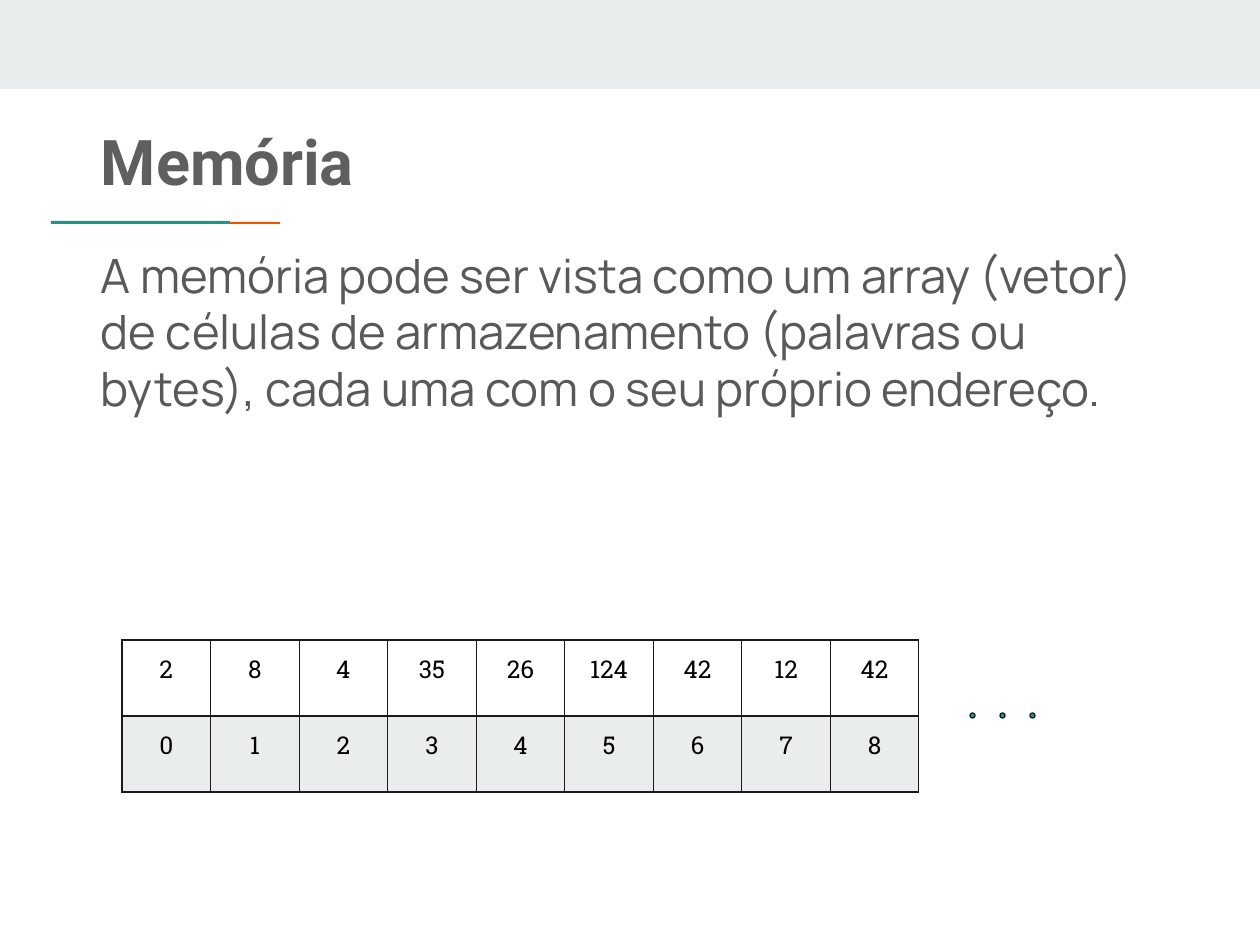
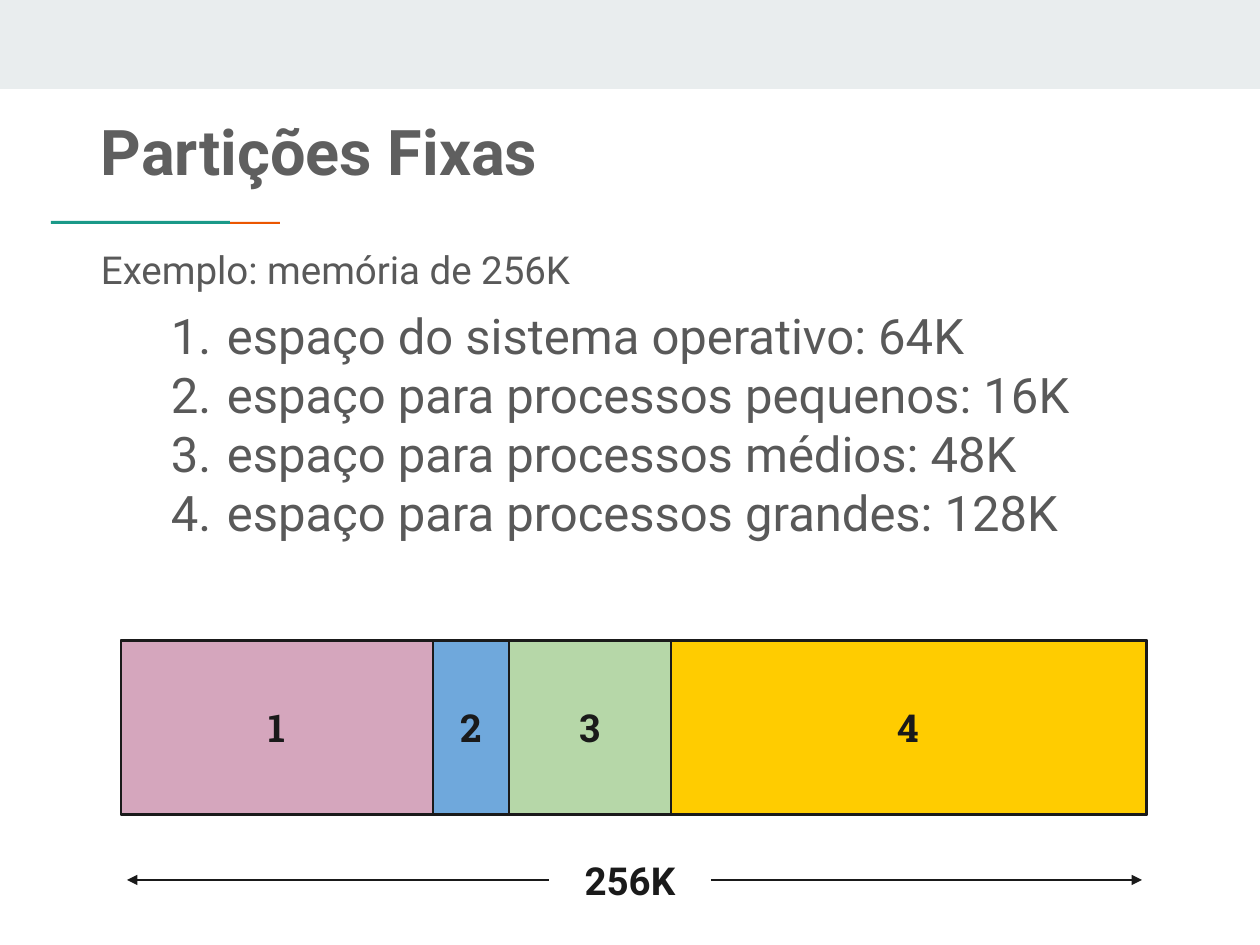
from itertools import pairwise

from lxml import etree
from pptx import Presentation
from pptx.dml.color import RGBColor
from pptx.enum.shapes import MSO_CONNECTOR, MSO_SHAPE
from pptx.enum.text import MSO_ANCHOR, PP_ALIGN
from pptx.oxml.ns import qn
from pptx.util import Emu, Pt

RECTANGLE, OVAL = MSO_SHAPE.RECTANGLE, MSO_SHAPE.OVAL
STRAIGHT = MSO_CONNECTOR.STRAIGHT
TOP, MIDDLE = MSO_ANCHOR.TOP, MSO_ANCHOR.MIDDLE
LEFT, CENTER = PP_ALIGN.LEFT, PP_ALIGN.CENTER

PX_PER_INCH = 126
SLIDE_WIDTH, SLIDE_HEIGHT = 1260, 945
MARGIN, CONTENT_WIDTH = 101, 1060
BODY_TOP, BODY_HEIGHT = 246, 416
INSET = 13
LINE_WIDTH = Pt(0.75)

BAND_GRAY = RGBColor(0xE9, 0xED, 0xEE)
ORANGE = RGBColor(0xEB, 0x56, 0x00)
TEAL = RGBColor(0x1A, 0x99, 0x88)
TITLE_GRAY = RGBColor(0x5F, 0x5F, 0x5F)
BODY_GRAY = RGBColor(0x59, 0x59, 0x59)
INK = RGBColor(0x1A, 0x1A, 0x1A)
BLACK = RGBColor(0x00, 0x00, 0x00)
WHITE = RGBColor(0xFF, 0xFF, 0xFF)
PINK = RGBColor(0xD5, 0xA6, 0xBD)
BLUE = RGBColor(0x6F, 0xA8, 0xDC)
GREEN = RGBColor(0xB6, 0xD7, 0xA8)
YELLOW = RGBColor(0xFF, 0xCC, 0x00)

SANS, SLAB, BODY_SANS = "Roboto", "Roboto Slab", "Manrope"


def px(length):
    return Emu(round(length * 914400 / PX_PER_INCH))


def write(paragraph, text, size, font, color, bold=False, align=LEFT):
    paragraph.text = text
    paragraph.alignment = align
    for run in paragraph.runs:
        run.font.size = Pt(size)
        run.font.name = font
        run.font.bold = bold
        run.font.color.rgb = color


def add_block(slide, kind, left, top, width, height, fill, line=None):
    shape = slide.shapes.add_shape(kind, px(left), px(top), px(width), px(height))
    shape.shadow.inherit = False
    shape.fill.solid()
    shape.fill.fore_color.rgb = fill
    if line is None:
        shape.line.fill.background()
    else:
        shape.line.color.rgb = line
        shape.line.width = LINE_WIDTH
    return shape


def add_text_frame(slide, left, top, width, height, anchor=TOP, inset=0):
    box = slide.shapes.add_textbox(px(left), px(top), px(width), px(height))
    frame = box.text_frame
    frame.word_wrap = True
    frame.vertical_anchor = anchor
    frame.margin_left = frame.margin_right = px(inset)
    frame.margin_top = frame.margin_bottom = px(inset)
    return frame


def add_base_slide(presentation, title, title_top):
    """Add a slide with the top band, the two accent bars and a title."""
    slide = presentation.slides.add_slide(presentation.slide_layouts[6])
    add_block(slide, RECTANGLE, 0, 0, SLIDE_WIDTH, 89, BAND_GRAY)
    add_block(slide, RECTANGLE, 102, 222, 178, 2, ORANGE)
    add_block(slide, RECTANGLE, 51, 221, 179, 3, TEAL)
    frame = add_text_frame(slide, MARGIN, title_top, CONTENT_WIDTH, 98, MIDDLE)
    paragraph = frame.paragraphs[0]
    write(paragraph, title, 36, SANS, TITLE_GRAY, bold=True)
    paragraph.line_spacing = 0.89
    return slide


def add_body(slide):
    return add_text_frame(slide, MARGIN, BODY_TOP, CONTENT_WIDTH, BODY_HEIGHT)


def number_paragraph(paragraph, color):
    properties = paragraph._p.get_or_add_pPr()
    properties.set("marL", str(px(126)))
    properties.set("indent", str(-px(56)))
    bullet_color = etree.SubElement(properties, qn("a:buClr"))
    etree.SubElement(bullet_color, qn("a:srgbClr"), val=str(color))
    etree.SubElement(properties, qn("a:buAutoNum"), type="arabicPeriod")


def add_cell_borders(cell):
    properties = cell._tc.get_or_add_tcPr()
    for side in ("a:lnL", "a:lnR", "a:lnT", "a:lnB"):
        border = etree.SubElement(properties, qn(side), w=str(LINE_WIDTH))
        fill = etree.SubElement(border, qn("a:solidFill"))
        etree.SubElement(fill, qn("a:srgbClr"), val=str(INK))


def add_memory_table(slide, left, top, width, height, rows):
    """Add a table from (fill, values) rows."""
    column_count = len(rows[0][1])
    table = slide.shapes.add_table(
        len(rows), column_count, px(left), px(top), px(width), px(height)
    ).table
    table.first_row = table.horz_banding = False
    for row_index, (fill, values) in enumerate(rows):
        for column_index, value in enumerate(values):
            cell = table.cell(row_index, column_index)
            cell.margin_left = cell.margin_right = px(INSET)
            cell.margin_top = cell.margin_bottom = px(INSET)
            write(cell.text_frame.paragraphs[0], str(value), 14, SLAB, BLACK, align=CENTER)
            add_cell_borders(cell)
            cell.fill.solid()
            cell.fill.fore_color.rgb = fill


def add_arrow(slide, start_x, end_x, y):
    arrow = slide.shapes.add_connector(STRAIGHT, px(start_x), px(y), px(end_x), px(y))
    arrow.line.color.rgb = INK
    arrow.line.width = LINE_WIDTH
    etree.SubElement(arrow.line._get_or_add_ln(), qn("a:tailEnd"), type="triangle")
    etree.SubElement(arrow._element.spPr, qn("a:effectLst"))


def build_memory_slide(presentation):
    slide = add_base_slide(presentation, "Memória", 116)
    write(
        add_body(slide).paragraphs[0],
        "A memória pode ser vista como um array (vetor) de células de armazenamento "
        "(palavras ou bytes), cada uma com o seu próprio endereço.",
        27, BODY_SANS, BODY_GRAY,
    )
    stored_values = [2, 8, 4, 35, 26, 124, 42, 12, 42]
    addresses = range(len(stored_values))
    add_memory_table(slide, 122, 640, 797, 152,
                     [(WHITE, stored_values), (BAND_GRAY, addresses)])
    for dot in range(3):
        add_block(slide, OVAL, 970 + 30 * dot, 713, 5, 5, TEAL, INK)


def build_partitions_slide(presentation):
    slide = add_base_slide(presentation, "Partições Fixas", 106)
    body = add_body(slide)
    write(body.paragraphs[0], "Exemplo: memória de 256K", 22, SANS, BODY_GRAY)
    partitions = (
        "espaço do sistema operativo: 64K",
        "espaço para processos pequenos: 16K",
        "espaço para processos médios: 48K",
        "espaço para processos grandes: 128K",
    )
    for index, partition in enumerate(partitions):
        paragraph = body.add_paragraph()
        write(paragraph, partition, 28, SANS, BODY_GRAY)
        if index == 0:
            paragraph.space_before = Pt(7.8)
        number_paragraph(paragraph, BODY_GRAY)

    add_block(slide, RECTANGLE, 121, 640, 1026, 175, BAND_GRAY, INK)
    edges = pairwise((121, 433, 509, 671, 1146))
    fills = (PINK, BLUE, GREEN, YELLOW)
    for number, ((left, right), fill) in enumerate(zip(edges, fills), start=1):
        block = add_block(slide, RECTANGLE, left, 641, right - left, 173, fill, INK)
        block.text_frame.vertical_anchor = MIDDLE
        write(block.text_frame.paragraphs[0], str(number), 22, SLAB, INK,
              bold=True, align=CENTER)

    total = add_text_frame(slide, 549, 844, 162, 72, inset=INSET)
    write(total.paragraphs[0], "256K", 22, SANS, INK, bold=True, align=CENTER)
    add_arrow(slide, 549, 127, 880)
    add_arrow(slide, 711, 1142, 880)


def main():
    presentation = Presentation()
    presentation.slide_width = px(SLIDE_WIDTH)
    presentation.slide_height = px(SLIDE_HEIGHT)
    build_memory_slide(presentation)
    build_partitions_slide(presentation)
    presentation.save("out.pptx")


if __name__ == "__main__":
    main()
